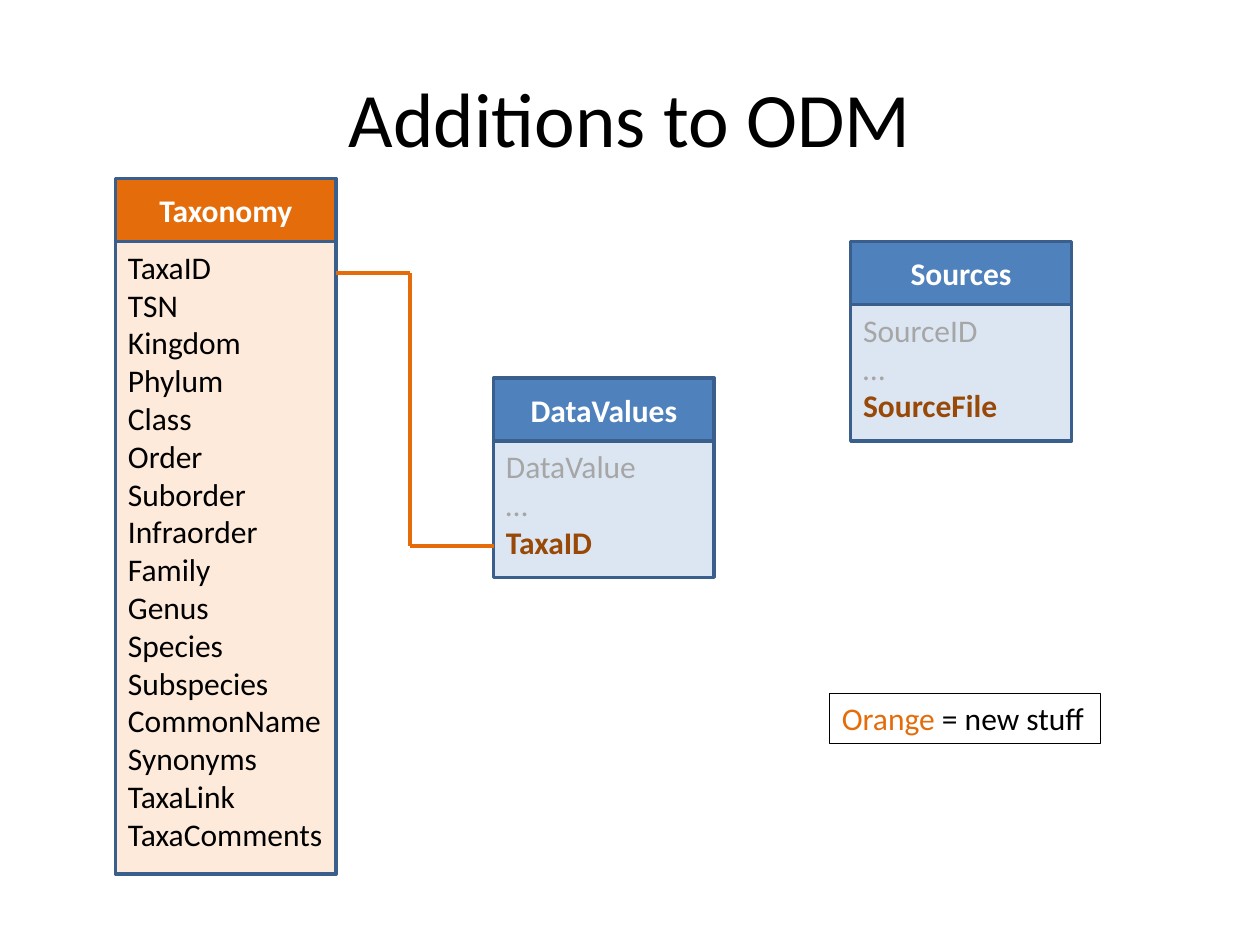
from itertools import pairwise

from lxml.etree import SubElement
from pptx import Presentation
from pptx.dml.color import RGBColor
from pptx.enum.shapes import MSO_CONNECTOR, MSO_SHAPE
from pptx.enum.text import MSO_ANCHOR, PP_ALIGN
from pptx.oxml.ns import qn
from pptx.util import Cm, Pt

THEME = {
    "font": "Calibri", "title_size": 44, "body_size": 18,
    "black": "000000", "white": "FFFFFF", "muted": "A6A6A6",
    "orange": "E46C0A", "pale_orange": "FDEADA", "dark_orange": "984807",
    "blue": "4F81BD", "pale_blue": "DCE6F2", "border": "3A5F8C",
}

TITLE = "Additions to ODM"
TITLE_BOX = (1.27, 0.76, 22.86, 3.18)
LEGEND = [("Orange ", "orange", False), ("= new stuff", "black", False)]
LEGEND_BOX = (16.72, 13.97, 5.46, 1.02)

TAXONOMY_FIELDS = [
    "TaxaID", "TSN", "Kingdom", "Phylum", "Class", "Order", "Suborder",
    "Infraorder", "Family", "Genus", "Species", "Subspecies", "CommonName",
    "Synonyms", "TaxaLink", "TaxaComments",
]
ENTITIES = [
    {"name": "DataValues", "left": 9.95, "top": 7.62, "body_height": 2.75,
     "fills": ("blue", "pale_blue"),
     "fields": [("DataValue", "muted", False), ("…", "muted", False),
                ("TaxaID", "dark_orange", True)]},
    {"name": "Sources", "left": 17.15, "top": 4.87, "body_height": 2.75,
     "fills": ("blue", "pale_blue"),
     "fields": [("SourceID", "muted", False), ("…", "muted", False),
                ("SourceFile", "dark_orange", True)]},
    {"name": "Taxonomy", "left": 2.33, "top": 3.6, "body_height": 12.75,
     "fills": ("orange", "pale_orange"),
     "fields": [(field, "black", False) for field in TAXONOMY_FIELDS]},
]
ENTITY_WIDTH, HEADER_HEIGHT = 4.45, 1.27
LINK_POINTS = [(6.78, 5.5), (8.26, 5.5), (8.26, 11), (9.95, 11)]


def color(name):
    """Return a theme colour by name."""
    return RGBColor.from_string(THEME[name])


def write(shape, paragraphs, size="body_size", align=PP_ALIGN.LEFT, **frame_format):
    """Fill a shape with paragraphs, each a list of (text, colour, bold) runs."""
    frame = shape.text_frame
    for name, value in ({"word_wrap": True} | frame_format).items():
        setattr(frame, name, value)
    for index, runs in enumerate(paragraphs):
        paragraph = frame.paragraphs[0] if index == 0 else frame.add_paragraph()
        paragraph.alignment = align
        for text, color_name, bold in runs:
            run = paragraph.add_run()
            run.text = text
            font_format = {"name": THEME["font"], "size": Pt(THEME[size]), "bold": bold}
            for name, value in font_format.items():
                setattr(run.font, name, value)
            run.font.color.rgb = color(color_name)


def add_box(slide, box, fill, line, line_width):
    """Add a rectangle, unfilled when fill is None."""
    shape = slide.shapes.add_shape(MSO_SHAPE.RECTANGLE, *map(Cm, box))
    shape.shadow.inherit = False
    if fill:
        shape.fill.solid()
        shape.fill.fore_color.rgb = color(fill)
    else:
        shape.fill.background()
    shape.line.color.rgb = color(line)
    shape.line.width = Pt(line_width)
    return shape


def add_entity(slide, entity):
    """Add a header box with its field list directly below."""
    left, top = entity["left"], entity["top"]
    header_fill, body_fill = entity["fills"]
    header = add_box(slide, (left, top, ENTITY_WIDTH, HEADER_HEIGHT),
                     header_fill, "border", 2)
    write(header, [[(entity["name"], "white", True)]], align=PP_ALIGN.CENTER,
          vertical_anchor=MSO_ANCHOR.MIDDLE)
    body = add_box(slide, (left, top + HEADER_HEIGHT, ENTITY_WIDTH, entity["body_height"]),
                   body_fill, "border", 2)
    write(body, [[field] for field in entity["fields"]], vertical_anchor=MSO_ANCHOR.TOP)


def add_link(slide, points):
    """Join consecutive points with straight lines."""
    for start, end in pairwise(points):
        connector = slide.shapes.add_connector(
            MSO_CONNECTOR.STRAIGHT, *map(Cm, start + end))
        connector.line.color.rgb = color("orange")
        connector.line.width = Pt(2.25)
        SubElement(connector._element.spPr, qn("a:effectLst"))


presentation = Presentation()
presentation.slide_width, presentation.slide_height = Cm(25.4), Cm(19.05)
slide = presentation.slides.add_slide(presentation.slide_layouts[6])

title = slide.shapes.add_textbox(*map(Cm, TITLE_BOX))
write(title, [[(TITLE, "black", False)]], size="title_size", align=PP_ALIGN.CENTER,
      vertical_anchor=MSO_ANCHOR.MIDDLE)
for entity in ENTITIES:
    add_entity(slide, entity)
add_link(slide, LINK_POINTS)
legend = add_box(slide, LEGEND_BOX, None, "black", 0.25)
write(legend, [LEGEND], word_wrap=False, vertical_anchor=MSO_ANCHOR.TOP)

presentation.save("out.pptx")
